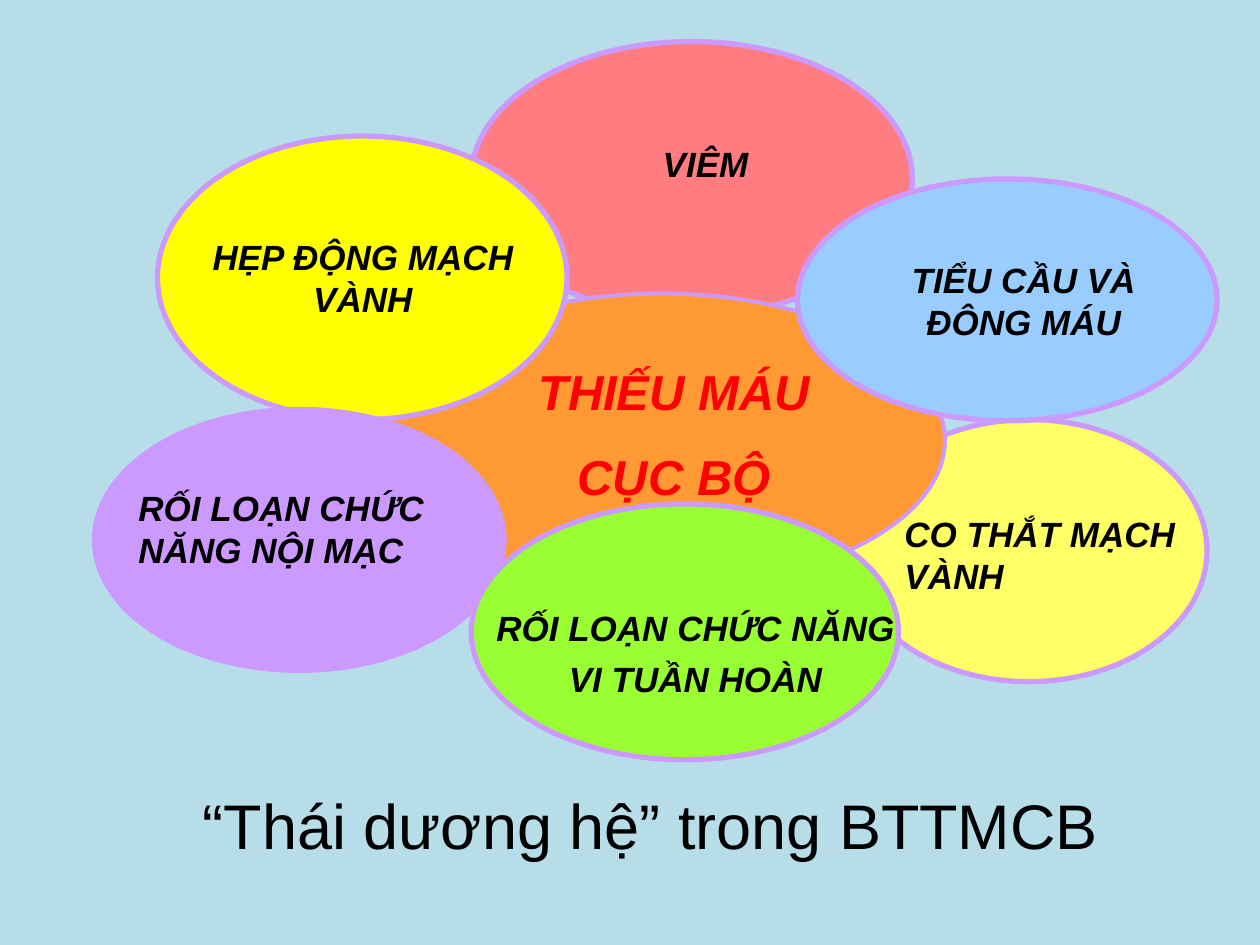
from pptx import Presentation
from pptx.dml.color import RGBColor
from pptx.enum.shapes import MSO_SHAPE as Preset
from pptx.enum.text import MSO_AUTO_SIZE as AutoSize, PP_ALIGN as Align
from pptx.util import Inches, Pt

BACKDROP = "B7DEE8"
OUTLINE = "CC99FF"
BLACK = "000000"
RED = "FF0000"


def color(value):
    return RGBColor.from_string(value)


def add_filled(slide, preset, box, fill):
    shape = slide.shapes.add_shape(preset, *map(Inches, box))
    shape.shadow.inherit = False
    shape.fill.solid()
    shape.fill.fore_color.rgb = color(fill)
    return shape


def add_backdrop(slide):
    add_filled(slide, Preset.RECTANGLE, (0, 0, 10, 7.5), BACKDROP).line.fill.background()


def add_petal(slide, box, fill, line_width=3):
    """Add one outlined ellipse of the flower-like diagram."""
    shape = add_filled(slide, Preset.OVAL, box, fill)
    shape.line.color.rgb = color(OUTLINE)
    shape.line.width = Pt(line_width)


def add_label(slide, box, lines, size=20, font_color=BLACK, emphasis=True,
              align=Align.CENTER, gap=0, line_spacing=None):
    """Add a text box with one paragraph per line, gap points apart."""
    frame = slide.shapes.add_textbox(*map(Inches, box)).text_frame
    frame.word_wrap = True
    frame.auto_size = AutoSize.SHAPE_TO_FIT_TEXT
    for index, line in enumerate(lines):
        paragraph = frame.add_paragraph() if index else frame.paragraphs[0]
        paragraph.alignment = align
        if index:
            paragraph.space_before = Pt(gap)
        if line_spacing:
            paragraph.line_spacing = line_spacing
        run = paragraph.add_run()
        run.text = line
        font = run.font
        font.name = "Arial"
        font.size = Pt(size)
        font.bold = font.italic = emphasis
        font.color.rgb = color(font_color)


def main():
    presentation = Presentation()
    presentation.slide_width = Inches(10)
    presentation.slide_height = Inches(7.5)
    slide = presentation.slides.add_slide(presentation.slide_layouts[6])

    add_backdrop(slide)
    add_petal(slide, (6.75, 3.33, 2.83, 2.08), "FFFF66")
    add_petal(slide, (3.74, 0.33, 3.5, 2.17), "FF7C80")
    add_petal(slide, (3, 2.33, 4.5, 2.33), "FF9933", line_width=2.25)

    add_petal(slide, (1.25, 1.08, 3.25, 2.25), "FFFF00")
    add_label(slide, (1.42, 1.82, 2.92, 0.78), ["HẸP ĐỘNG MẠCH VÀNH"])

    add_petal(slide, (0.75, 3.25, 3.25, 2.07), "CC99FF")
    add_label(slide, (1, 3.81, 2.75, 0.78), ["RỐI LOẠN CHỨC NĂNG NỘI MẠC"],
              align=Align.LEFT)

    add_petal(slide, (6.33, 1.42, 3.33, 1.92), "99CCFF")
    add_label(slide, (6.5, 2, 3.25, 0.78), ["TIỂU CẦU VÀ", "ĐÔNG MÁU"])

    add_petal(slide, (3.74, 4, 3.39, 2.03), "99FF33")
    add_label(slide, (3.81, 4.88, 3.42, 0.72), ["RỐI LOẠN CHỨC NĂNG", "VI TUẦN HOÀN"],
              gap=15, line_spacing=0.6)

    add_label(slide, (7.08, 4.02, 2.67, 0.78), ["CO THẮT MẠCH VÀNH"], align=Align.LEFT)
    add_label(slide, (4.06, 1.08, 3.08, 0.44), ["VIÊM"])
    add_label(slide, (0.33, 6.19, 9.67, 1.31), ["“Thái dương hệ” trong BTTMCB"],
              size=36, emphasis=False)
    add_label(slide, (3.67, 2.82, 3.36, 1.26), ["THIẾU MÁU", "CỤC BỘ"],
              size=28, font_color=RED, gap=15)

    presentation.save("out.pptx")


if __name__ == "__main__":
    main()
